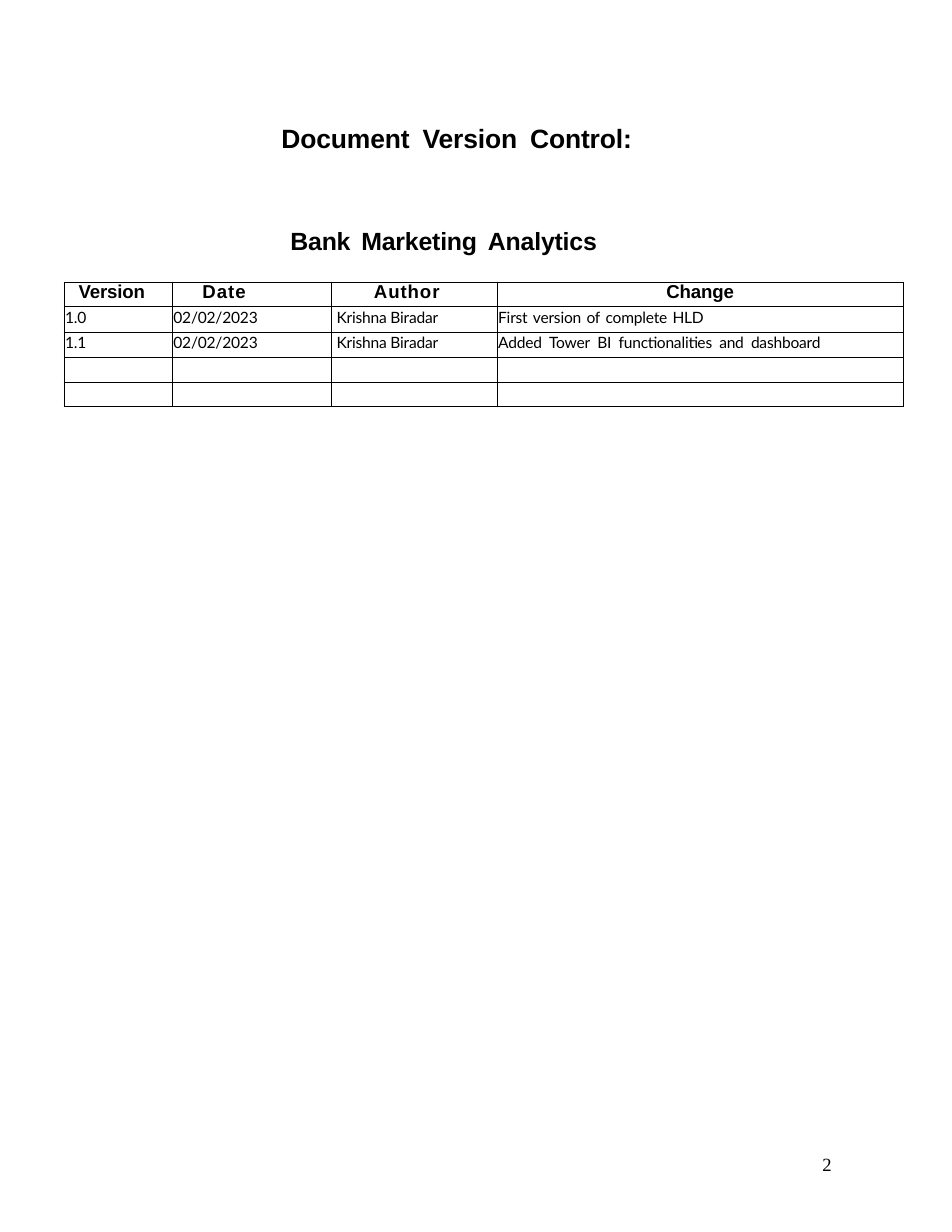
"""Builds the document version control page."""
from lxml.etree import SubElement
from pptx import Presentation
from pptx.dml.color import RGBColor
from pptx.enum.text import MSO_ANCHOR, MSO_AUTO_SIZE, PP_ALIGN
from pptx.oxml import parse_xml
from pptx.oxml.ns import nsdecls, qn
from pptx.util import Pt

BLACK = RGBColor(0, 0, 0)
HEADING = {"name": "Arial", "bold": True}
BODY = {"name": "Lato", "size": Pt(10), "bold": False}
COLUMNS = (69.6, 102.2, 106.6, 261.2)
ROWS = (15.8, 16.6, 15.9, 15.9, 15.9)
HEADERS = (("Version", 9.4, -0.1), ("Date", 19.4, 0.6), ("Author", 27.4, 0.6), ("Change", 0, -0.1))
ENTRIES = (
    ("1.0", "02/02/2023", "Krishna Biradar", "First version of complete HLD"),
    ("1.1", "02/02/2023", "Krishna Biradar", "Added Tower BI functionalities and dashboard"),
)
INDENTS = (0.7, 0.7, 3.4, 0.7)
CHANGE_GAPS = (0.8, 2)


class PageBuilder:
    """Holds the text style and the current page."""

    def __init__(self, page, color):
        self.page = page
        self.color = color

    def add_words(self, para, text, font, indent=0, tracking=0, gap=0, **layout):
        """Puts words into a paragraph, widening the spaces by gap points."""
        para._p.get_or_add_pPr().set("marL", str(Pt(indent)))
        for name, value in layout.items():
            setattr(para, name, value)
        pieces = text.replace(" ", "\n \n").split("\n") if gap else [text]
        for piece in pieces:
            span = para.add_run()
            span.text = piece
            span.font.color.rgb = self.color
            for name, value in font.items():
                setattr(span.font, name, value)
            spacing = gap if piece == " " else tracking
            span._r.get_or_add_rPr().set("spc", str(round(spacing * 100)))

    def fill_box(self, box, place, text, font, top_margin=0, **layout):
        """Places a box and gives it one line of text."""
        for name, value in zip(("left", "top", "width", "height"), place):
            setattr(box, name, Pt(value))
        frame = box.text_frame
        settings = {
            "margin_left": 0, "margin_right": 0, "margin_bottom": 0,
            "margin_top": Pt(top_margin), "word_wrap": True,
            "auto_size": MSO_AUTO_SIZE.NONE, "vertical_anchor": MSO_ANCHOR.TOP,
        }
        for name, value in settings.items():
            setattr(frame, name, value)
        self.add_words(frame.paragraphs[0], text, font, alignment=PP_ALIGN.LEFT, **layout)

    def title(self, place, text, font, **layout):
        """Fills the title placeholder."""
        self.fill_box(self.page.shapes.title, place, text, font, **layout)

    def text(self, place, text, font, **layout):
        """Adds a text box."""
        box = self.page.shapes.add_textbox(0, 0, 0, 0)
        self.fill_box(box, place, text, font, **layout)

    def table(self, left, top, columns, rows):
        """Adds an unfilled table with thin borders."""
        frame = self.page.shapes.add_table(
            len(rows), len(columns), Pt(left), Pt(top), Pt(sum(columns)), Pt(sum(rows)))
        table = frame.table
        table.first_row = table.horz_banding = False
        for column, width in zip(table.columns, columns):
            column.width = Pt(width)
        for row, height in zip(table.rows, rows):
            row.height = Pt(height)
        for cell in table.iter_cells():
            self.outline(cell)
        return table

    def outline(self, cell):
        """Clears the fill and margins of a cell and draws its borders."""
        for side in ("left", "right", "top", "bottom"):
            setattr(cell, f"margin_{side}", 0)
        cell.fill.background()
        properties = cell._tc.get_or_add_tcPr()
        for position, side in enumerate("LRTB"):
            properties.insert(position, parse_xml(
                f'<a:ln{side} {nsdecls("a")} w="{Pt(0.5)}"><a:solidFill>'
                f'<a:srgbClr val="{self.color}"/></a:solidFill></a:ln{side}>'))


def main():
    deck = Presentation()
    deck.slide_width, deck.slide_height = Pt(612), Pt(792)
    page = deck.slides.add_slide(deck.slide_layouts[5])
    builder = PageBuilder(page, BLACK)

    builder.title((180, 77.8, 240, 22), "Document Version Control:", HEADING | {"size": Pt(17)},
                  top_margin=0.9, indent=0.9, tracking=-0.1, gap=3.5, space_before=Pt(1))
    builder.text((185.8, 144, 334, 20), "Bank Marketing Analytics", HEADING | {"size": Pt(16)},
                 top_margin=0.9, indent=0.9, tracking=-0.1, gap=2.5, space_before=Pt(1))
    builder.text((525.6, 741.6, 18, 15), "2", {"name": "Times New Roman", "size": Pt(12)},
                 indent=3, line_spacing=Pt(14.1))

    table = builder.table(41.2, 181.4, COLUMNS, ROWS)
    for column, (header, indent, tracking) in enumerate(HEADERS):
        alignment = PP_ALIGN.LEFT if indent else PP_ALIGN.CENTER
        builder.add_words(table.cell(0, column).text_frame.paragraphs[0], header,
                          HEADING | {"size": Pt(12)}, indent, tracking,
                          alignment=alignment, line_spacing=Pt(12.9))
    for row, (entry, change_gap) in enumerate(zip(ENTRIES, CHANGE_GAPS), start=1):
        gaps = (0, 0, 0, change_gap)
        for column, (value, indent, gap) in enumerate(zip(entry, INDENTS, gaps)):
            cell = table.cell(row, column)
            cell.margin_top = Pt(0.7)
            builder.add_words(cell.text_frame.paragraphs[0], value, BODY, indent,
                              -0.1, gap, space_before=Pt(0.8))
    for row in range(len(ENTRIES) + 1, len(ROWS)):
        for column in range(len(COLUMNS)):
            para = table.cell(row, column).text_frame.paragraphs[0]
            SubElement(para._p, qn("a:endParaRPr")).set("sz", "1000")

    deck.save("out.pptx")


if __name__ == "__main__":
    main()
